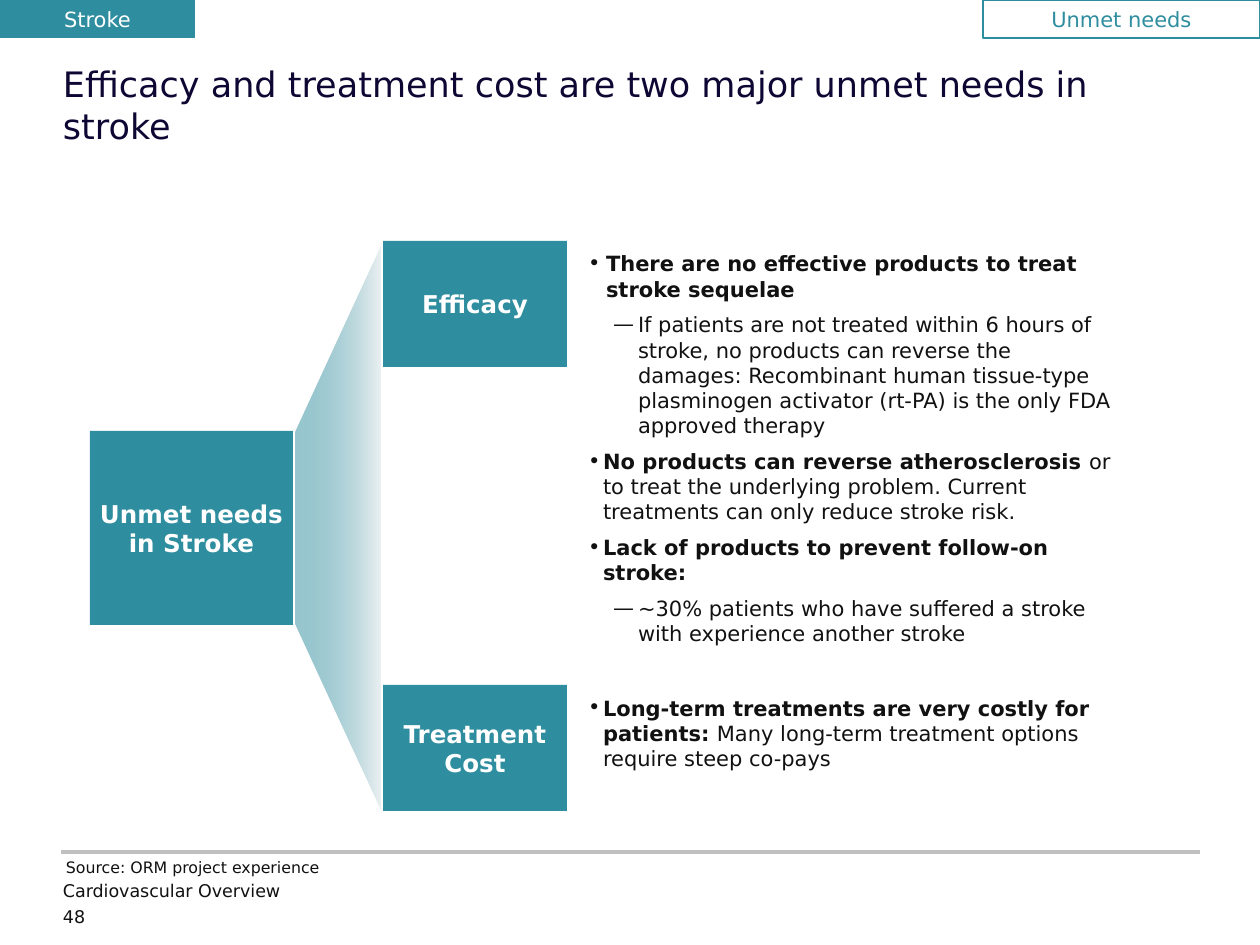
from lxml.etree import SubElement
from pptx import Presentation
from pptx.dml.color import RGBColor
from pptx.enum.shapes import MSO_CONNECTOR, MSO_SHAPE
from pptx.enum.text import MSO_ANCHOR, PP_ALIGN
from pptx.oxml.ns import qn
from pptx.util import Emu, Pt

PX_PER_INCH = 126
FONT = "DejaVu Sans"
TEAL = RGBColor(0x2E, 0x8D, 0x9E)
PALE = RGBColor(0xEE, 0xF2, 0xF3)
WHITE = RGBColor(0xFF, 0xFF, 0xFF)
INK = RGBColor(0x11, 0x11, 0x11)
NAVY = RGBColor(0x0E, 0x07, 0x33)
GREY = RGBColor(0xC0, 0xC0, 0xC0)


def px(length):
    return Emu(round(length * 914400 / PX_PER_INCH))


def style(paragraph, size, color, bold=None):
    font = paragraph.font
    font.name, font.size, font.bold = FONT, Pt(size), bold
    font.color.rgb = color


def set_insets(frame, inset):
    frame.margin_left = frame.margin_right = px(inset)
    frame.margin_top = frame.margin_bottom = px(inset)


def add_text(slide, box, text, size, color):
    frame = slide.shapes.add_textbox(*map(px, box)).text_frame
    frame.word_wrap = True
    set_insets(frame, 0)
    frame.text = text
    style(frame.paragraphs[0], size, color)


def add_label(slide, box, text, size, bold=None, outlined=False):
    label = slide.shapes.add_shape(MSO_SHAPE.RECTANGLE, *map(px, box))
    label.shadow.inherit = False
    if outlined:
        label.fill.background()
        label.line.color.rgb = TEAL
        label.line.width = Pt(0.75)
    else:
        label.fill.solid()
        label.fill.fore_color.rgb = TEAL
        label.line.fill.background()
    frame = label.text_frame
    frame.word_wrap = True
    frame.vertical_anchor = MSO_ANCHOR.MIDDLE
    set_insets(frame, 6)
    frame.text = text
    paragraph = frame.paragraphs[0]
    paragraph.alignment = PP_ALIGN.CENTER
    style(paragraph, size, TEAL if outlined else WHITE, bold)


def add_fan(slide, left, top, width, height, inner_height):
    slope = (height - inner_height) // 2
    right, bottom = left + width, top + height
    builder = slide.shapes.build_freeform(px(right), px(top))
    corners = [(left, top + slope), (left, bottom - slope), (right, bottom)]
    builder.add_line_segments([(px(x), px(y)) for x, y in corners], close=True)
    fan = builder.convert_to_shape()
    fan.shadow.inherit = False
    fan.line.color.rgb = WHITE
    fan.line.width = Pt(1)
    fan.fill.gradient()
    fan.fill.gradient_angle = 0
    near, far = fan.fill.gradient_stops
    near.color.rgb, near.position = TEAL, 0
    far.color.rgb, far.position = PALE, 1
    for color in fan._element.spPr.iter(qn("a:srgbClr")):
        if color.get("val") == str(TEAL):
            SubElement(color, qn("a:alpha"), val="50000")


def add_points(slide, box, points):
    frame = slide.shapes.add_textbox(*map(px, box)).text_frame
    frame.word_wrap = True
    set_insets(frame, 10)
    for index, (level, hang, runs) in enumerate(points):
        paragraph = frame.add_paragraph() if index else frame.paragraphs[0]
        paragraph.level = level
        if index:
            paragraph.space_before = Pt(6)
        props = paragraph._p.get_or_add_pPr()
        props.set("marL", str(px(hang + level * 25)))
        props.set("indent", str(-px(hang)))
        SubElement(props, qn("a:buFont"), typeface=FONT)
        SubElement(props, qn("a:buChar"), char="—" if level else "•")
        for text, bold in runs:
            run = paragraph.add_run()
            run.text = text
            run.font.bold = bold
        style(paragraph, 12, INK)


def add_header(slide, left, top, width, height):
    add_label(slide, (left, top, 195, 38), "Stroke", 12)
    add_label(slide, (left + width - 277, top, 277, 38), "Unmet needs", 12, outlined=True)
    add_text(slide, (left + 63, top + 63, 1134, height - 63),
             "Efficacy and treatment cost are two major unmet needs in stroke", 20, NAVY)


def add_needs(slide, left, top, width, height):
    need_left, need_width, need_height = left + 293, 184, 126
    points_left = left + 488
    points_width = width - 488
    add_fan(slide, left + 204, top, 88, 574, 192)
    add_label(slide, (left, top + 190, 203, 194), "Unmet needs in Stroke", 14, True)
    efficacy = [
        (0, 18, [("There are no effective products to treat stroke sequelae", True)]),
        (1, 25, [("If patients are not treated within 6 hours of stroke, no products can "
                  "reverse the damages: Recombinant human tissue-type plasminogen "
                  "activator (rt-PA) is the only FDA approved therapy", False)]),
        (0, 15, [("No products can reverse atherosclerosis ", True),
                 ("or to treat the underlying problem. Current treatments can only "
                  "reduce stroke risk.", False)]),
        (0, 15, [("Lack of products to prevent follow-on stroke:", True)]),
        (1, 25, [("~30% patients who have suffered a stroke with experience another "
                  "stroke", False)]),
    ]
    cost = [
        (0, 15, [("Long-term treatments are very costly for patients: ", True),
                 ("Many long-term treatment options require steep co-pays", False)]),
    ]
    needs = [
        ("Efficacy", top, 418, efficacy),
        ("Treatment Cost", top + height - need_height, 96, cost),
    ]
    for name, need_top, points_height, points in needs:
        add_label(slide, (need_left, need_top, need_width, need_height), name, 14, True)
        add_points(slide, (points_left, need_top, points_width, points_height), points)


def add_footer(slide, left, top, width):
    rule = slide.shapes.add_connector(
        MSO_CONNECTOR.STRAIGHT, px(left), px(top), px(left + width), px(top))
    rule.line.color.rgb = GREY
    rule.line.width = Pt(2)
    SubElement(rule._element.spPr, qn("a:effectLst"))
    add_text(slide, (left + 5, top + 6, 320, 19), "Source: ORM project experience", 9, INK)
    add_text(slide, (left + 2, top + 28, 842, 29), "Cardiovascular Overview", 10, INK)
    add_text(slide, (left + 2, top + 54, 60, 25), "48", 10, INK)


def main():
    deck = Presentation()
    deck.slide_width, deck.slide_height = px(1260), px(945)
    slide = deck.slides.add_slide(deck.slide_layouts[6])
    add_header(slide, 0, 0, 1260, 189)
    add_needs(slide, 90, 241, 1035, 570)
    add_footer(slide, 61, 852, 1139)
    deck.save("out.pptx")


if __name__ == "__main__":
    main()
